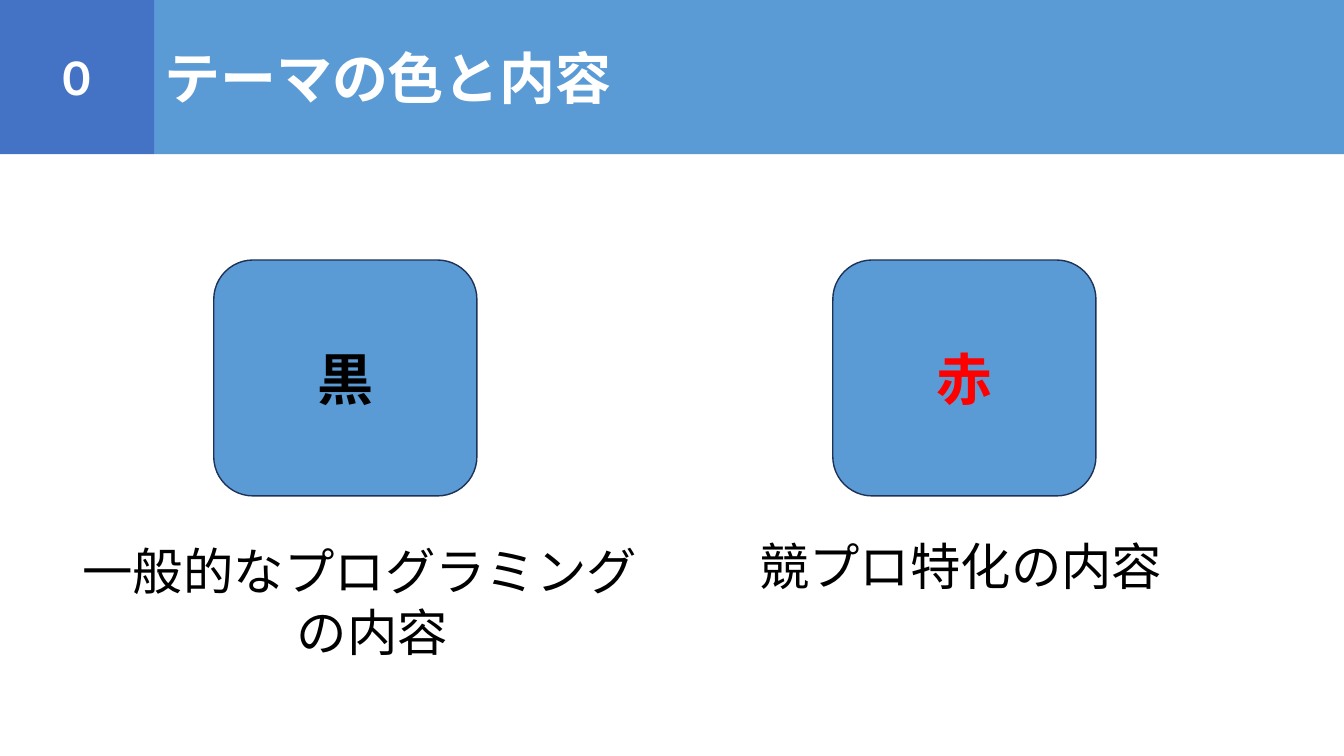
from lxml import etree
from pptx import Presentation
from pptx.dml.color import RGBColor
from pptx.enum.shapes import MSO_SHAPE
from pptx.enum.text import MSO_ANCHOR, MSO_AUTO_SIZE, PP_ALIGN
from pptx.oxml.ns import qn
from pptx.util import Inches, Pt

RECTANGLE = MSO_SHAPE.RECTANGLE
ROUNDED = MSO_SHAPE.ROUNDED_RECTANGLE
MIDDLE = MSO_ANCHOR.MIDDLE
FIT_SHAPE = MSO_AUTO_SIZE.SHAPE_TO_FIT_TEXT
LEFT = PP_ALIGN.LEFT
CENTER = PP_ALIGN.CENTER

FONT = "Noto Sans CJK JP"
COLORS = {
    "band": "5B9BD5",
    "number": "4472C4",
    "outline": "1E3256",
    "white": "FFFFFF",
    "black": "000000",
    "red": "FF0000",
}
SLIDE_WIDTH = 13.33
HEADER_HEIGHT = 1.53


def rgb(name):
    return RGBColor.from_string(COLORS[name])


class SlideBuilder:
    def __init__(self, slide):
        self.slide = slide

    def set_text(self, paragraph, text, size, color, bold=False, align=LEFT):
        paragraph.text = text
        paragraph.alignment = align
        font = paragraph.font
        font.name = FONT
        font.size = Pt(size)
        font.bold = bold
        font.color.rgb = rgb(color)
        properties = paragraph._p.pPr.find(qn("a:defRPr"))
        etree.SubElement(properties, qn("a:ea"), typeface=FONT)

    def block(self, kind, box, fill, text, size, color="white", align=CENTER, line=None):
        shape = self.slide.shapes.add_shape(kind, *map(Inches, box))
        shape.shadow.inherit = False
        shape.fill.solid()
        shape.fill.fore_color.rgb = rgb(fill)
        if line:
            shape.line.color.rgb = rgb(line)
            shape.line.width = Pt(1)
        else:
            shape.line.fill.background()
        shape.text_frame.vertical_anchor = MIDDLE
        self.set_text(shape.text_frame.paragraphs[0], text, size, color, True, align)

    def caption(self, box, lines, wrap):
        frame = self.slide.shapes.add_textbox(*map(Inches, box)).text_frame
        frame.word_wrap = wrap
        frame.auto_size = FIT_SHAPE
        for index, (text, align) in enumerate(lines):
            paragraph = frame.add_paragraph() if index else frame.paragraphs[0]
            self.set_text(paragraph, text, 36, "black", align=align)


def main():
    presentation = Presentation()
    presentation.slide_width = Inches(SLIDE_WIDTH)
    presentation.slide_height = Inches(7.5)
    builder = SlideBuilder(presentation.slides.add_slide(presentation.slide_layouts[6]))

    title_box = (HEADER_HEIGHT, 0, SLIDE_WIDTH - HEADER_HEIGHT, HEADER_HEIGHT)
    builder.block(RECTANGLE, title_box, "band", "テーマの色と内容", 40, align=LEFT)
    builder.block(RECTANGLE, (0, 0, HEADER_HEIGHT, HEADER_HEIGHT), "number", "０", 32)

    for left, text, color in ((2.12, "黒", "black"), (8.26, "赤", "red")):
        builder.block(ROUNDED, (left, 2.58, 2.61, 2.34), "band", text, 40, color, line="outline")

    general_lines = (("一般的なプログラミング", LEFT), ("の内容", CENTER))
    builder.caption((0.72, 5.31, 5.95, 1.31), general_lines, True)
    builder.caption((7.43, 5.26, 4.24, 0.71), (("競プロ特化の内容", LEFT),), False)

    presentation.save("out.pptx")


if __name__ == "__main__":
    main()
